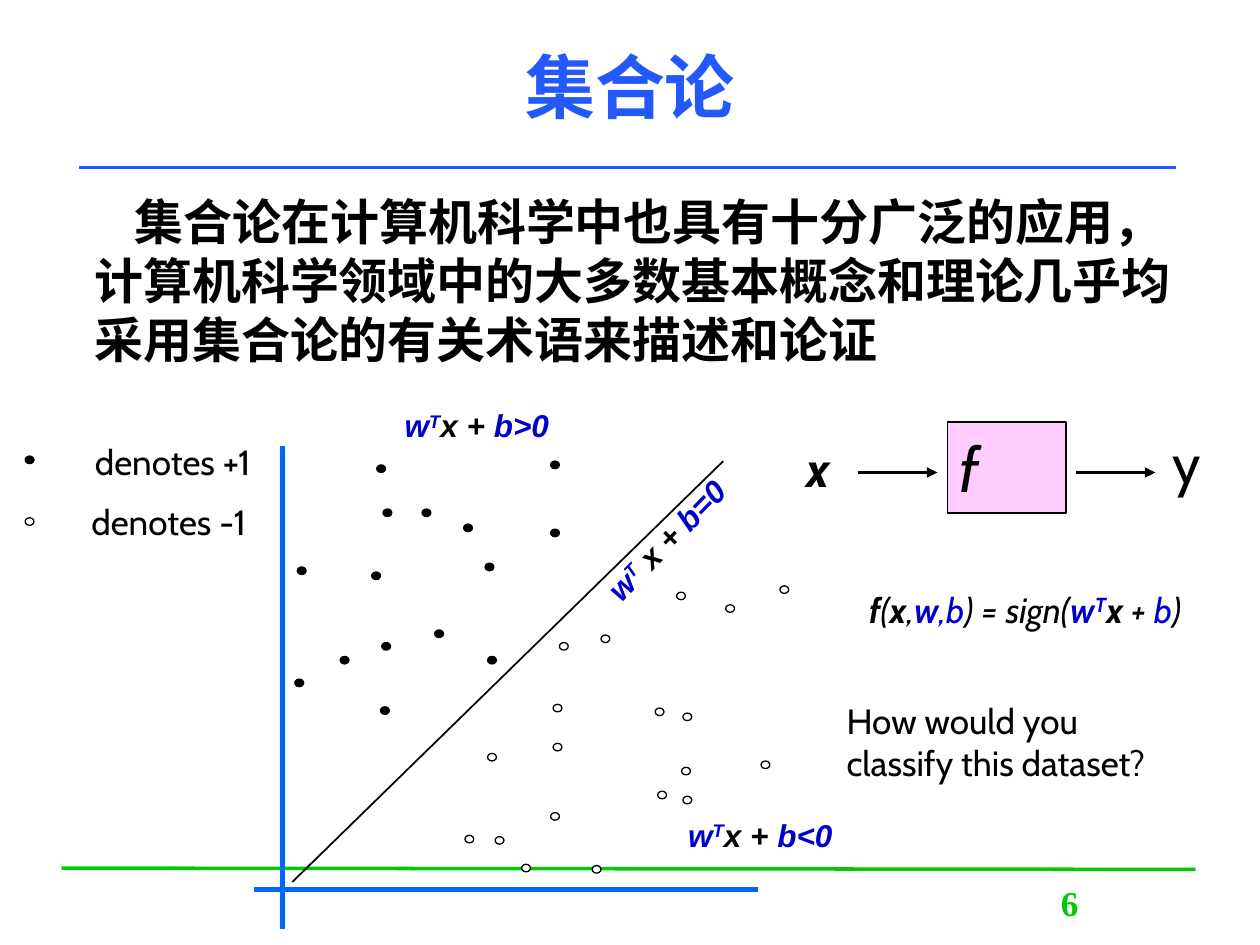
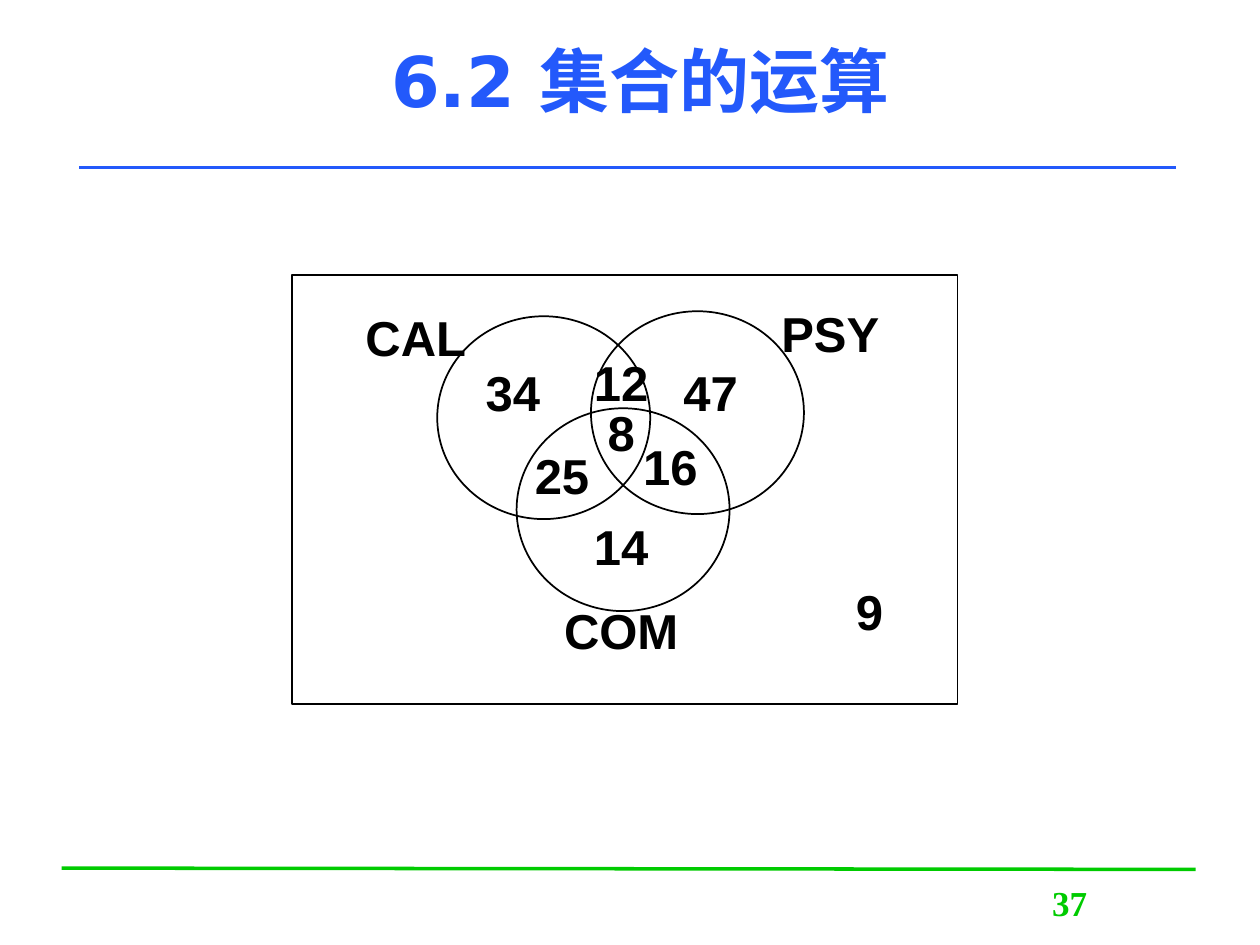
from dataclasses import dataclass
from typing import NamedTuple

import lxml.etree
import pptx
import pptx.dml.color
import pptx.enum.shapes
import pptx.enum.text
import pptx.oxml.ns
import pptx.util

Inches = pptx.util.Inches
Pt = pptx.util.Pt
RGBColor = pptx.dml.color.RGBColor
Shape = pptx.enum.shapes.MSO_SHAPE
Align = pptx.enum.text.PP_ALIGN
Anchor = pptx.enum.text.MSO_ANCHOR
qn = pptx.oxml.ns.qn

# Colours
BLACK = RGBColor(0x00, 0x00, 0x00)
WHITE = RGBColor(0xFF, 0xFF, 0xFF)
TITLE_BLUE = RGBColor(0x23, 0x59, 0xFB)
AXIS_BLUE = RGBColor(0x00, 0x66, 0xFF)
TERM_BLUE = RGBColor(0x00, 0x00, 0xCC)
GREEN = RGBColor(0x00, 0xCB, 0x00)
PINK = RGBColor(0xFF, 0xCC, 0xFF)


class Box(NamedTuple):
    left: float
    top: float
    width: float
    height: float


class Point(NamedTuple):
    x: float
    y: float


class Piece(NamedTuple):
    """A run that departs from the style of its line."""
    text: str
    color: RGBColor = BLACK
    bold: bool = True
    raised: bool = False


class Label(NamedTuple):
    text: str
    x: float
    y: float


@dataclass(frozen=True)
class Style:
    font: str
    size: float
    color: RGBColor = BLACK
    bold: bool = False
    italic: bool = False
    align: Align = Align.CENTER
    anchor: Anchor = Anchor.TOP
    wrap: bool = True
    spacing: float | None = None


# Text styles
TITLE = Style("DejaVu Sans", 40, TITLE_BLUE, bold=True, anchor=Anchor.MIDDLE)
NUMBER = Style("Times New Roman", 20, GREEN, bold=True)
BODY = Style("Times New Roman", 28, bold=True, align=Align.LEFT)
NOTE = Style("Cabin", 20)
PROMPT = Style("Cabin", 20, align=Align.LEFT)
RULE = Style("Cabin", 20, italic=True)
INPUT = Style("Cabin", 28, bold=True, italic=True)
OUTPUT = Style("Cabin", 32, align=Align.LEFT)
MODEL = Style("Cabin", 36, italic=True, align=Align.LEFT, anchor=Anchor.MIDDLE)
MARGIN = Style("Arial", 18, bold=True, italic=True, anchor=Anchor.MIDDLE, wrap=False)
COUNT = Style("Arial", 28, bold=True, anchor=Anchor.MIDDLE, wrap=False, spacing=0.9)

# Scatter plot: top left corner of each dot
DOT_WIDTH, DOT_HEIGHT = 0.07, 0.06
PLUS_DOTS = [Point(*p) for p in (
    (2.34, 5.39), (4.37, 4.2), (3.35, 4.04), (3.87, 5.21), (2.95, 4.54),
    (3.04, 4.04), (3.03, 5.1), (3.85, 4.47), (3.02, 5.61), (2.99, 3.69),
    (3.45, 5), (2.7, 5.21), (3.68, 4.16), (2.36, 4.5), (4.37, 3.66))]
MINUS_DOTS = [Point(*p) for p in (
    (3.69, 6.63), (4.44, 5.1), (5.2, 5.62), (3.87, 5.98), (6.19, 4.65),
    (5.41, 6.09), (4.77, 5.04), (6.04, 6.04), (4.14, 6.86), (5.42, 5.66),
    (4.39, 5.59), (5.76, 4.8), (5.37, 4.7), (5.22, 6.28), (4.7, 6.87),
    (4.37, 6.45), (4.39, 5.9), (3.93, 6.64), (5.42, 6.32))]
LEGEND_PLUS, LEGEND_MINUS = Point(0.2, 3.62), Point(0.2, 4.11)

# Venn diagram: circle corners and label centres
CIRCLE_WIDTH, CIRCLE_HEIGHT = 1.69, 1.61
CIRCLES = [Point(3.47, 2.51), Point(4.1, 3.24), Point(4.69, 2.47)]
LABELS = [
    Label("12", 4.93, 3.06), Label("8", 4.93, 3.46), Label("47", 5.64, 3.14),
    Label("34", 4.07, 3.14), Label("16", 5.32, 3.73), Label("25", 4.46, 3.8),
    Label("14", 4.93, 4.36), Label("PSY", 6.59, 2.67), Label("COM", 4.93, 5.03),
    Label("CAL", 3.3, 2.7), Label("9", 6.9, 4.88)]


def style_line(par, style: Style) -> None:
    par.alignment = style.align
    if style.spacing:
        par.line_spacing = style.spacing
    font = par.font
    font.name, font.size = style.font, Pt(style.size)
    font.bold, font.italic = style.bold, style.italic
    font.color.rgb = style.color


def fill_text(shape, lines: list[str | list[Piece]], style: Style) -> None:
    frame = shape.text_frame
    frame.word_wrap = style.wrap
    frame.vertical_anchor = style.anchor
    for index, line in enumerate(lines):
        par = frame.add_paragraph() if index else frame.paragraphs[0]
        style_line(par, style)
        if index:
            par.space_before = Pt(style.size / 2)
        if isinstance(line, str):
            par.add_run().text = line
            continue
        for piece in line:
            run = par.add_run()
            run.text = piece.text
            run.font.bold = piece.bold
            run.font.color.rgb = piece.color
            if piece.raised:
                run.font._element.set("baseline", "30000")


def add_text(slide, box: Box, lines: list[str | list[Piece]], style: Style):
    shape = slide.shapes.add_textbox(*map(Inches, box))
    fill_text(shape, lines, style)
    return shape


def add_form(slide, kind: Shape, box: Box, fill: RGBColor | None = None,
             weight: float = 1):
    shape = slide.shapes.add_shape(kind, *map(Inches, box))
    shape.shadow.inherit = False
    if fill is None:
        shape.fill.background()
    else:
        shape.fill.solid()
        shape.fill.fore_color.rgb = fill
    shape.line.color.rgb = BLACK
    shape.line.width = Pt(weight)
    return shape


def add_line(slide, start: Point, end: Point, color: RGBColor, weight: float,
             arrow: bool = False) -> None:
    line = slide.shapes.add_connector(
        pptx.enum.shapes.MSO_CONNECTOR.STRAIGHT, *map(Inches, (*start, *end)))
    line.line.color.rgb = color
    line.line.width = Pt(weight)
    props = line._element.spPr
    if arrow:
        lxml.etree.SubElement(props.get_or_add_ln(), qn("a:tailEnd"), type="triangle")
    lxml.etree.SubElement(props, qn("a:effectLst"))


def add_dots(slide, dots: list[Point], fill: RGBColor) -> None:
    for dot in dots:
        add_form(slide, Shape.OVAL, Box(*dot, DOT_WIDTH, DOT_HEIGHT), fill, 0.75)


def start_slide(deck, title: str, title_box: Box, number: int):
    """Add a blank slide with the shared rules, number and title."""
    slide = deck.slides.add_slide(deck.slide_layouts[6])
    add_line(slide, Point(0.49, 6.89), Point(9.49, 6.9), GREEN, 2)
    add_line(slide, Point(0.63, 1.33), Point(9.33, 1.33), TITLE_BLUE, 2)
    add_text(slide, Box(7.7, 6.95, 1.58, 0.5), [str(number)], NUMBER)
    add_text(slide, title_box, [title], TITLE)
    return slide


def weight_term(plain: str, result: str) -> list[Piece]:
    return [Piece("w", TERM_BLUE), Piece("T", TERM_BLUE, raised=True),
            Piece(plain), Piece(result, TERM_BLUE)]


def build_theory(deck) -> None:
    slide = start_slide(deck, "集合论", Box(0.75, 0.05, 8.5, 1.25), 6)
    body = add_text(slide, Box(0.27, 1.47, 9.29, 1.6), [
        "集合论在计算机科学中也具有十分广泛的应用，计算机科学领域中的"
        "大多数基本概念和理论几乎均采用集合论的有关术语来描述和论证"], BODY)
    props = body.text_frame.paragraphs[0]._p.get_or_add_pPr()
    props.set("marL", str(Inches(0.38)))
    props.set("indent", str(Inches(0.32)))

    # Legend
    add_text(slide, Box(0.2, 3.45, 2.28, 0.93), [" denotes +1", "denotes -1"], NOTE)

    # Axes, dots and dividing line
    add_line(slide, Point(2.24, 3.54), Point(2.24, 7.37), AXIS_BLUE, 3)
    add_line(slide, Point(2.02, 7.06), Point(6.02, 7.06), AXIS_BLUE, 3)
    add_dots(slide, [LEGEND_PLUS, *PLUS_DOTS], BLACK)
    add_dots(slide, [LEGEND_MINUS, *MINUS_DOTS], WHITE)
    add_line(slide, Point(2.32, 7), Point(5.74, 3.66), BLACK, 1)
    for corner, plain, result, turn in (
            (Point(3.95, 4.12), " x + ", "b=0", 314.4),
            (Point(4.7, 6.46), "x + ", "b<0", 0),
            (Point(2.45, 3.21), "x + ", "b>0", 0)):
        term = add_text(slide, Box(*corner, 2.67, 0.33),
                        [weight_term(plain, result)], MARGIN)
        term.rotation = turn

    # Flow from x through f to y
    add_text(slide, Box(6.3, 3.43, 0.36, 0.57), ["x"], INPUT)
    model = add_form(slide, Shape.RECTANGLE, Box(7.52, 3.35, 0.94, 0.72), PINK)
    fill_text(model, ["f"], MODEL)
    add_text(slide, Box(9.21, 3.35, 0.43, 0.63), ["y"], OUTPUT)
    for left in (6.81, 8.54):
        add_line(slide, Point(left, 3.75), Point(left + 0.63, 3.75), BLACK, 1.5, arrow=True)

    # Rule and question
    add_text(slide, Box(6.15, 4.62, 3.97, 0.45), [[
        Piece("f"), Piece("(", bold=False), Piece("x"), Piece(",", bold=False),
        Piece("w", TERM_BLUE), Piece(",b", TERM_BLUE, False),
        Piece(") = sign(", bold=False), Piece("w", TERM_BLUE),
        Piece("T", TERM_BLUE, raised=True), Piece("x "), Piece("+ ", bold=False),
        Piece("b", TERM_BLUE, False), Piece(")", bold=False)]], RULE)
    add_text(slide, Box(6.62, 5.5, 2.79, 0.77),
             ["How would you classify this dataset?"], PROMPT)


def build_venn(deck) -> None:
    slide = start_slide(deck, "6.2 集合的运算", Box(0.83, 0.28, 8.5, 0.71), 37)
    add_form(slide, Shape.RECTANGLE, Box(2.32, 2.18, 5.28, 3.41))
    for corner in CIRCLES:
        add_form(slide, Shape.OVAL, Box(*corner, CIRCLE_WIDTH, CIRCLE_HEIGHT))
    # Each label box is wide enough for its widest letters
    height = 0.52
    for label in LABELS:
        width = 0.2 + 0.32 * len(label.text)
        box = Box(label.x - width / 2, label.y - height / 2, width, height)
        add_text(slide, box, [label.text], COUNT)


def main() -> None:
    deck = pptx.Presentation()
    deck.slide_width, deck.slide_height = Inches(10), Inches(7.5)
    build_theory(deck)
    build_venn(deck)
    deck.save("out.pptx")


if __name__ == "__main__":
    main()
